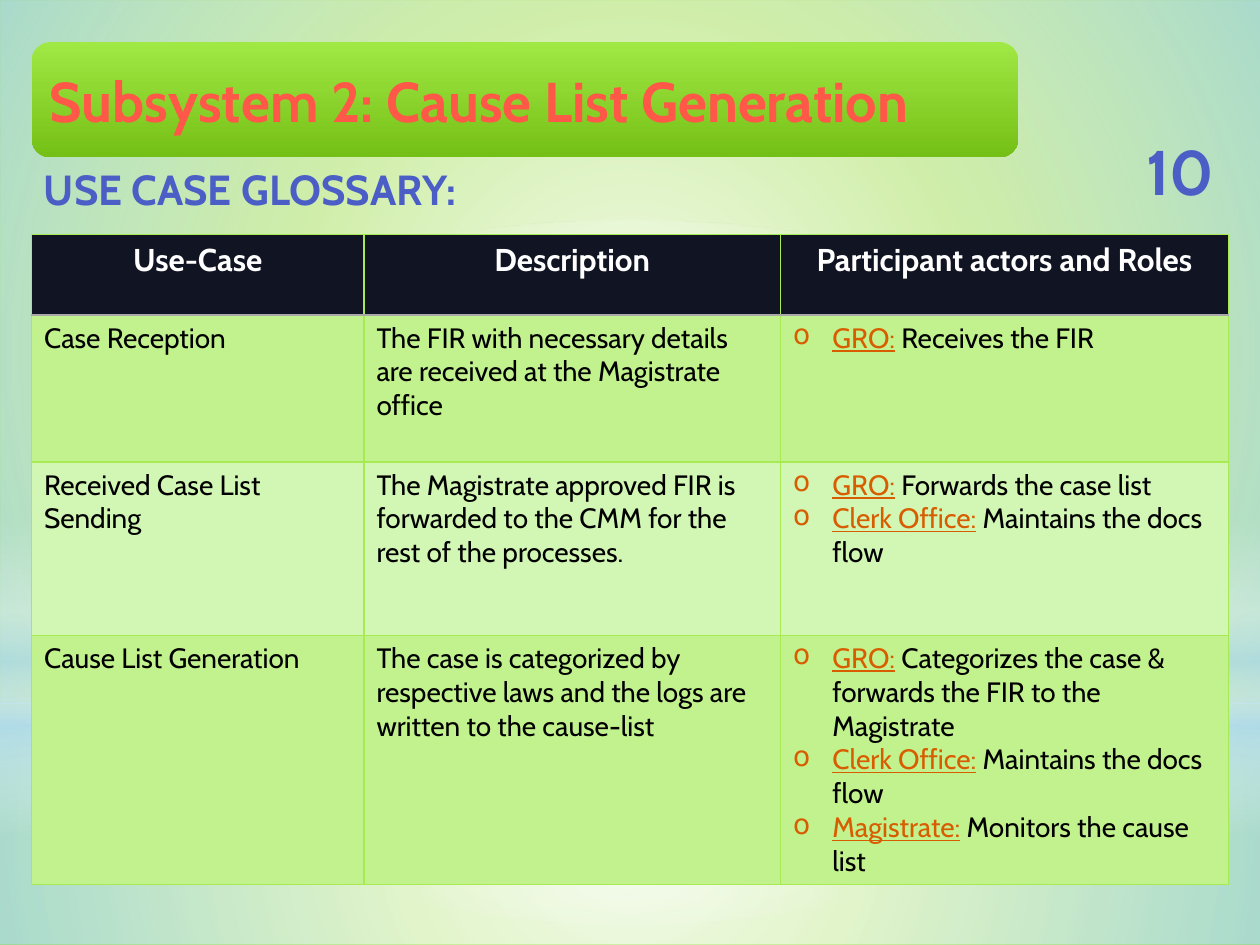
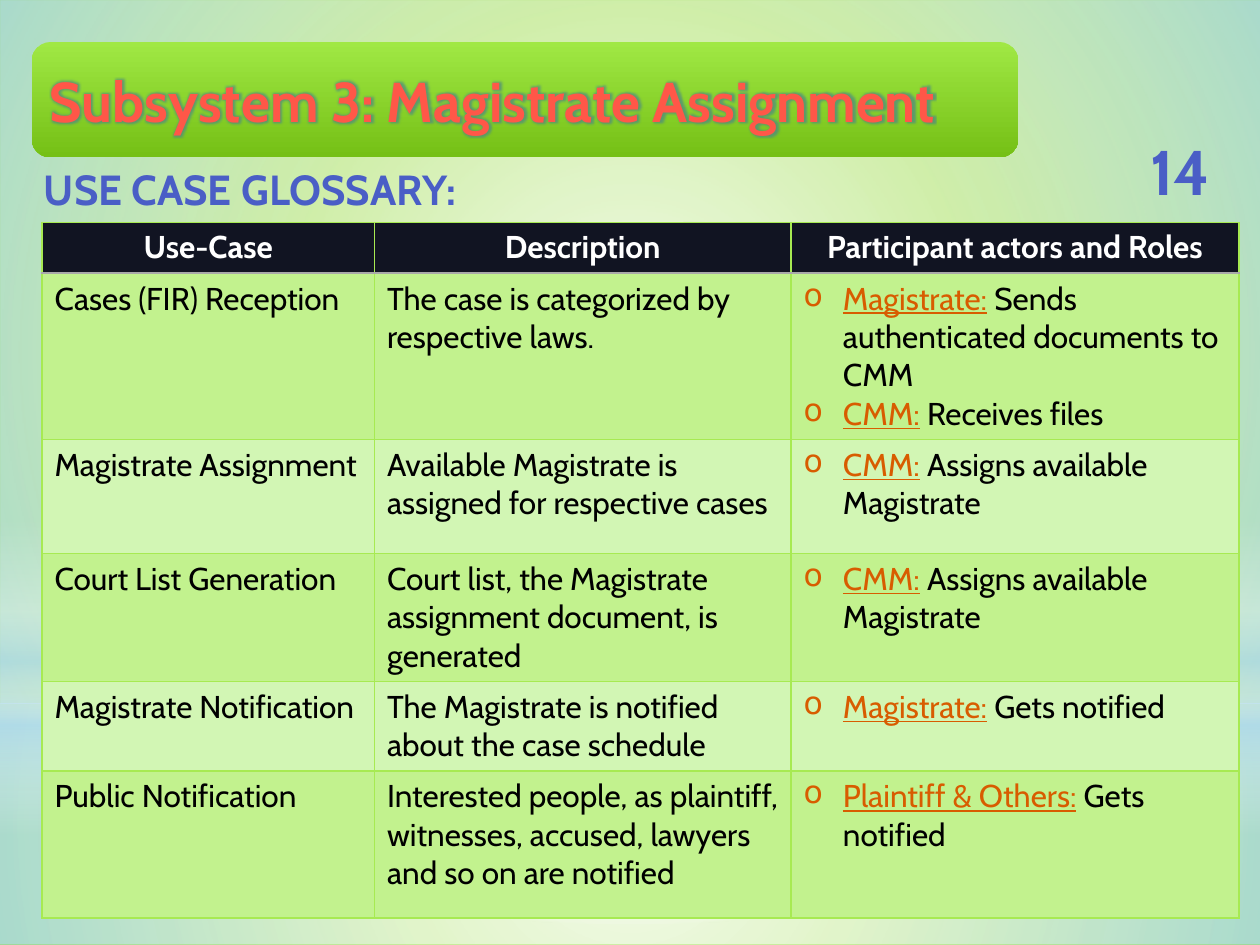
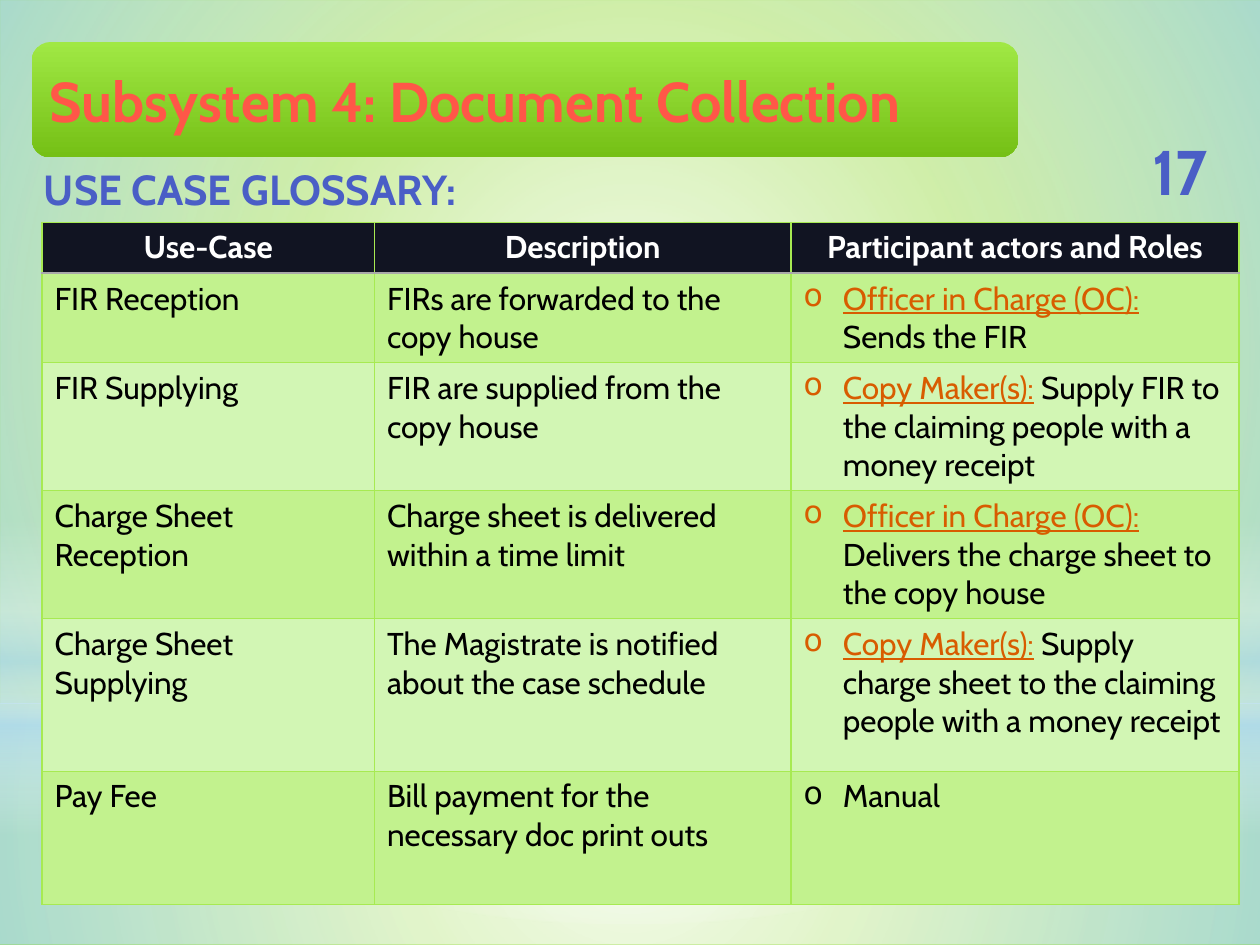
from lxml import etree
from pptx import Presentation
from pptx.dml.color import RGBColor
from pptx.enum.shapes import MSO_SHAPE
from pptx.enum.text import MSO_ANCHOR, MSO_AUTO_SIZE, PP_ALIGN
from pptx.oxml.ns import nsdecls, qn
from pptx.util import Pt

RECT, OVAL, ROUNDED = MSO_SHAPE.RECTANGLE, MSO_SHAPE.OVAL, MSO_SHAPE.ROUNDED_RECTANGLE
LEFT, CENTER = PP_ALIGN.LEFT, PP_ALIGN.CENTER
MIDDLE, TOP = MSO_ANCHOR.MIDDLE, MSO_ANCHOR.TOP

FONT = "Cabin"
COLORS = {
    "background": "81D31A", "white": "FFFFFF", "sky": "B4DCFA",
    "header": "111422", "odd row": "C2F28E", "even row": "D2F6B4",
    "grid": "A7EA52", "header rule": "A9A9A9",
    "text": "000000", "actor": "D85C00", "glow": "4F8A80",
}

# Gradients: (position, colour, opacity), all in percent
WHITE, SKY = COLORS["white"], COLORS["sky"]
BAND_GREEN = [(0, "A0E844", 100), (100, "75C016", 100)]
TITLE_RED = [(0, "FF6155", 100), (25, "FF5748", 100), (50, "EF3718", 100),
             (75, "FF5748", 100), (100, "FF6155", 100)]
HEADING_BLUE = [(0, "717FD2", 100), (49, "4A5EC6", 100), (50, "324CB5", 100),
                (92, "31479D", 100), (100, "30469A", 100)]

# Master layers: preset, (left, top, width, height), stops, circular
MASTER_LAYERS = [
    (RECT, (0, 402, 720, 138),
     [(0, WHITE, 91), (37, WHITE, 76), (100, SKY, 79)], True),
    (RECT, (0, 0, 720, 402),
     [(0, WHITE, 89), (48, WHITE, 62), (100, SKY, 79)], True),
    (RECT, (0, 297, 720, 180),
     [(0, WHITE, 0), (29, WHITE, 30), (45, SKY, 40),
      (55, WHITE, 26), (65, SKY, 60), (100, WHITE, 0)], False),
    (OVAL, (0, 126, 720, 402), [(0, WHITE, 100), (56, WHITE, 0)], True),
    (ROUNDED, (18, 24, 564, 66), BAND_GREEN, False),
]
TITLE_BOX = (18, 24, 564, 66)
NUMBER_BOX = (639, 78, 71, 39)
HEADING_BOX = (18, 90, 256, 36)

HEADING = "USE CASE GLOSSARY:"
COLUMNS = [("Use-Case", 190), ("Description", 238), ("Participant actors and Roles", 256)]

# Each row: use case, description, [(actor, role), ...], height
GLOSSARIES = [
    {
        "title": "Subsystem 2: Cause List Generation", "number": "10", "glow": False,
        "corner": (18, 134), "size": 16, "header height": 46,
        "rows": [
            ("Case Reception",
             "The FIR with necessary details are received at the Magistrate office",
             [("GRO:", " Receives the FIR")], 84),
            ("Received Case List Sending",
             "The Magistrate approved FIR is forwarded to the CMM for the rest of the processes.",
             [("GRO:", " Forwards the case list"),
              ("Clerk Office:", " Maintains the docs flow")], 99),
            ("Cause List Generation",
             "The case is categorized by respective laws and the logs are written to the cause-list",
             [("GRO:", " Categorizes the case & forwards the FIR to the Magistrate"),
              ("Clerk Office:", " Maintains the docs flow"),
              ("Magistrate:", " Monitors the cause list")], 130),
        ],
    },
    {
        "title": "Subsystem 3: Magistrate Assignment", "number": "14", "glow": True,
        "corner": (24, 127), "size": 18, "header height": 28,
        "rows": [
            ("Cases (FIR) Reception",
             "The case is categorized by respective laws.",
             [("Magistrate:", " Sends authenticated documents to CMM"),
              ("CMM:", " Receives files")], 84),
            ("Magistrate Assignment",
             "Available Magistrate is assigned for respective cases",
             [("CMM:", " Assigns available Magistrate")], 65),
            ("Court List Generation",
             "Court list, the Magistrate assignment document, is generated",
             [("CMM:", " Assigns available Magistrate")], 65),
            ("Magistrate Notification",
             "The Magistrate is notified about the case schedule",
             [("Magistrate:", " Gets notified")], 45),
            ("Public Notification",
             "Interested people, as plaintiff, witnesses, accused, lawyers and so on are notified",
             [("Plaintiff & Others:", " Gets notified")], 84),
        ],
    },
    {
        "title": "Subsystem 4: Document Collection", "number": "17", "glow": False,
        "corner": (24, 127), "size": 18, "header height": 28,
        "rows": [
            ("FIR Reception", "FIRs are forwarded to the copy house",
             [("Officer in Charge (OC): ", "Sends the FIR")], 48),
            ("FIR Supplying", "FIR are supplied from the copy house",
             [("Copy Maker(s):", " Supply FIR to the claiming people with a money receipt")], 67),
            ("Charge Sheet Reception", "Charge sheet is delivered within a time limit",
             [("Officer in Charge (OC): ", "Delivers the charge sheet to the copy house")], 67),
            ("Charge Sheet Supplying", "The Magistrate is notified about the case schedule",
             [("Copy Maker(s):",
               " Supply charge sheet to the claiming people with a money receipt")], 87),
            ("Pay Fee", "Bill payment for the necessary doc print outs",
             [("", "Manual")], 76),
        ],
    },
]


def rgb(name):
    return RGBColor.from_string(COLORS[name])


def set_gradient(shape, fill, stops, circular=False):
    """Give the shape's only solid fill, of its body or its text, a gradient."""
    fill.solid()
    stop_xml = "".join(
        f'<a:gs pos="{pos * 1000}"><a:srgbClr val="{color}">'
        f'<a:alpha val="{opacity * 1000}"/></a:srgbClr></a:gs>'
        for pos, color, opacity in stops)
    direction = ('<a:path path="circle"><a:fillToRect l="50000" t="50000" r="50000" b="50000"/>'
                 '</a:path>' if circular else '<a:lin ang="5400000" scaled="0"/>')
    gradient = etree.fromstring(f'<a:gradFill {nsdecls("a")} rotWithShape="1">'
                                f'<a:gsLst>{stop_xml}</a:gsLst>{direction}</a:gradFill>')
    solid = next(shape.element.iter(qn("a:solidFill")))
    solid.getparent().replace(solid, gradient)
    return gradient


def build_master(master, slide):
    """Draw the shared layers, then place them behind the master's placeholders."""
    master.background.fill.solid()
    master.background.fill.fore_color.rgb = rgb("background")
    first_placeholder = master.placeholders[0].element
    for number, (preset, box, stops, circular) in enumerate(MASTER_LAYERS, 101):
        layer = slide.shapes.add_shape(preset, *map(Pt, box))
        layer.shadow.inherit = False
        layer.line.fill.background()
        set_gradient(layer, layer.fill, stops, circular)
        layer.element.xpath("./p:nvSpPr/p:cNvPr")[0].set("id", str(number))
        first_placeholder.addprevious(layer.element)


def format_run(run, size, color=None, bold=False, underline=False):
    run.font.name = FONT
    run.font.size = Pt(size)
    run.font.bold = bold
    run.font.underline = underline
    if color:
        run.font.color.rgb = rgb(color)


def write_heading(shape, box, text, size, stops, align=LEFT, anchor=MIDDLE):
    shape.left, shape.top, shape.width, shape.height = map(Pt, box)
    frame = shape.text_frame
    frame.text = text
    frame.word_wrap = True
    frame.auto_size = MSO_AUTO_SIZE.NONE
    frame.vertical_anchor = anchor
    frame.paragraphs[0].alignment = align
    run = frame.paragraphs[0].runs[0]
    format_run(run, size, bold=True)
    return set_gradient(shape, run.font.fill, stops)


def add_heading(slide, box, *style):
    write_heading(slide.shapes.add_textbox(*map(Pt, box)), box, *style)


def add_glow(text_fill):
    text_fill.addnext(etree.fromstring(
        f'<a:effectLst {nsdecls("a")}><a:glow rad="45500"><a:srgbClr val="{COLORS["glow"]}">'
        '<a:alpha val="75000"/></a:srgbClr></a:glow></a:effectLst>'))


def style_cell(cell, fill, top=("grid", 0.75), bottom=("grid", 0.75)):
    borders = {"L": ("grid", 0.75), "R": ("grid", 0.75), "T": top, "B": bottom}
    properties = cell._tc.get_or_add_tcPr()
    for side, (color, width) in borders.items():
        properties.append(etree.fromstring(
            f'<a:ln{side} {nsdecls("a")} w="{Pt(width)}"><a:solidFill>'
            f'<a:srgbClr val="{COLORS[color]}"/></a:solidFill></a:ln{side}>'))
    cell.fill.solid()
    cell.fill.fore_color.rgb = rgb(fill)


def write_roles(cell, roles, size):
    frame = cell.text_frame
    for index, (actor, role) in enumerate(roles):
        paragraph = frame.add_paragraph() if index else frame.paragraphs[0]
        properties = paragraph._p.get_or_add_pPr()
        properties.set("marL", str(Pt(22.5)))
        properties.set("indent", str(-Pt(22.5)))
        etree.SubElement(properties, qn("a:buChar"), char="o")
        for text, color in ((actor, "actor"), (role, "text")):
            if text:
                run = paragraph.add_run()
                run.text = text
                format_run(run, size, color, underline=color == "actor")


def add_glossary(slide, glossary):
    rows, size = glossary["rows"], glossary["size"]
    heights = [glossary["header height"]] + [row[-1] for row in rows]
    widths = [width for _, width in COLUMNS]
    extent = (*glossary["corner"], sum(widths), sum(heights))
    table = slide.shapes.add_table(len(heights), len(widths), *map(Pt, extent)).table
    table.horz_banding = False
    for column, width in zip(table.columns, widths):
        column.width = Pt(width)
    for table_row, height in zip(table.rows, heights):
        table_row.height = Pt(height)

    # Header row
    rule = ("header rule", 1.25)
    for index, (label, _) in enumerate(COLUMNS):
        cell = table.cell(0, index)
        style_cell(cell, "header", bottom=rule)
        cell.text_frame.text = label
        cell.text_frame.paragraphs[0].alignment = CENTER
        format_run(cell.text_frame.paragraphs[0].runs[0], 18, "white", bold=True)

    # Use cases
    for number, (use_case, description, roles, _) in enumerate(rows, 1):
        for index in range(len(COLUMNS)):
            style_cell(table.cell(number, index), "odd row" if number % 2 else "even row",
                       top=rule if number == 1 else ("grid", 0.75))
        for index, text in enumerate((use_case, description)):
            frame = table.cell(number, index).text_frame
            frame.text = text
            format_run(frame.paragraphs[0].runs[0], size, "text")
        write_roles(table.cell(number, 2), roles, size)


def main():
    deck = Presentation()
    deck.slide_width, deck.slide_height = Pt(720), Pt(540)
    title_only = deck.slide_layouts[5]
    for index, glossary in enumerate(GLOSSARIES):
        slide = deck.slides.add_slide(title_only)
        if index == 0:
            build_master(deck.slide_master, slide)
        title = slide.shapes.title
        title_fill = write_heading(title, TITLE_BOX, glossary["title"], 32, TITLE_RED)
        title.text_frame.margin_left = Pt(10.4)
        if glossary["glow"]:
            add_glow(title_fill)
        add_heading(slide, NUMBER_BOX, glossary["number"], 36, HEADING_BLUE, CENTER)
        add_heading(slide, HEADING_BOX, HEADING, 24, HEADING_BLUE, LEFT, TOP)
        add_glossary(slide, glossary)
    deck.save("out.pptx")


if __name__ == "__main__":
    main()
